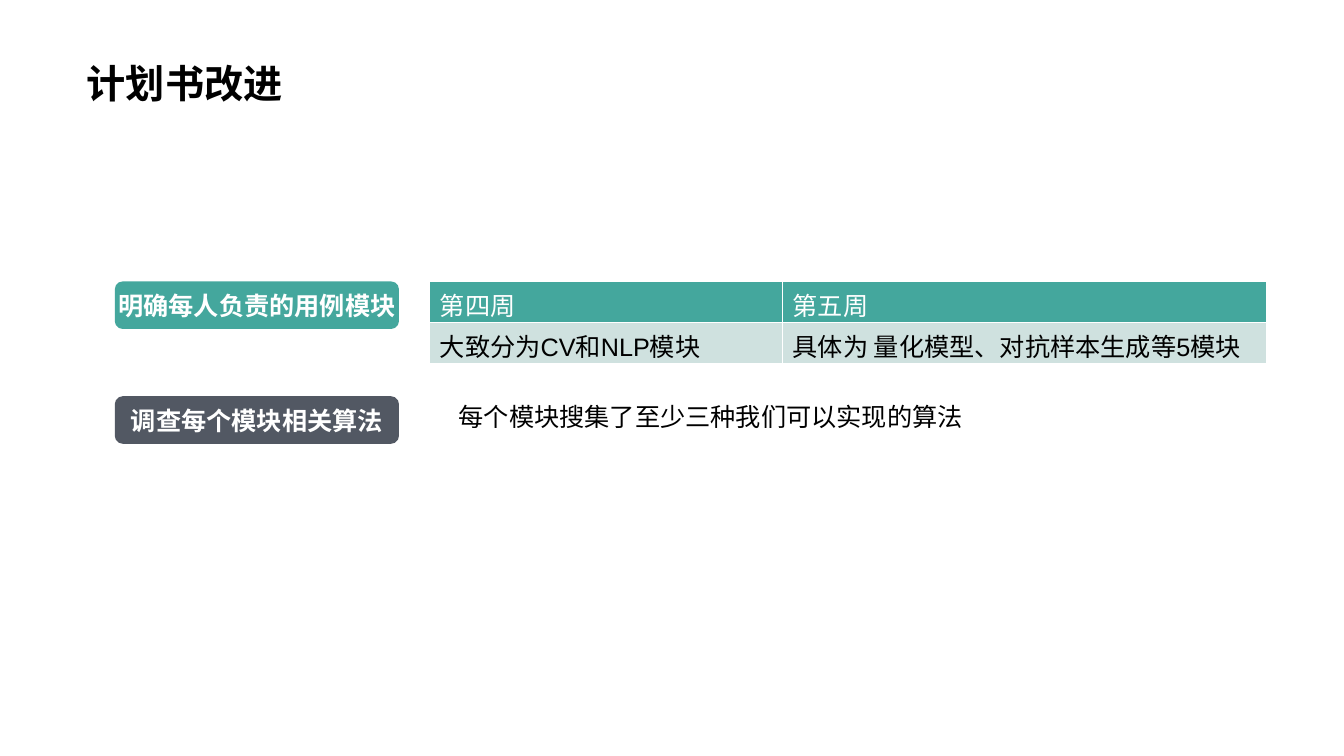
from dataclasses import dataclass
from lxml import etree
from pptx import Presentation
from pptx.dml.color import RGBColor
from pptx.enum.shapes import MSO_SHAPE as Shape
from pptx.enum.text import MSO_ANCHOR as Anchor, PP_ALIGN as Align
from pptx.oxml.ns import qn
from pptx.util import Pt


@dataclass(frozen=True)
class Theme:
    teal: str = "44A79D"
    slate: str = "525863"
    mint: str = "CFE1DF"
    white: str = "FFFFFF"
    black: str = "000000"
    latin: str = "Arial"
    chinese: str = "Noto Sans CJK SC"
    title_size: int = 28
    body_size: int = 18


theme = Theme()


def write(frame, words, color, size=theme.body_size, bold=False, latin=theme.latin):
    frame.text = words
    run = frame.paragraphs[0].runs[0]
    run.font.size = Pt(size)
    run.font.bold = bold
    run.font.color.rgb = RGBColor.from_string(color)
    run.font.name = latin
    etree.SubElement(run.font._element, qn("a:ea"), typeface=theme.chinese)


def add_border(cell, side):
    line = etree.SubElement(cell._tc.get_or_add_tcPr(), qn(f"a:{side}"), w=str(Pt(1)))
    fill = etree.SubElement(line, qn("a:solidFill"))
    etree.SubElement(fill, qn("a:srgbClr"), val=theme.white)


deck = Presentation()
deck.slide_width, deck.slide_height = Pt(960), Pt(540)
slide = deck.slides.add_slide(deck.slide_layouts[6])

heading = slide.shapes.add_textbox(Pt(55), Pt(0), Pt(850), Pt(80)).text_frame
heading.word_wrap = True
heading.vertical_anchor = Anchor.BOTTOM
write(heading, "计划书改进", theme.black, theme.title_size, bold=True)
heading.paragraphs[0].line_spacing = 0.9

tasks = [
    ("明确每人负责的用例模块", theme.teal, 201),
    ("调查每个模块相关算法", theme.slate, 283),
]
for task, color, top in tasks:
    badge = slide.shapes.add_shape(Shape.ROUNDED_RECTANGLE, Pt(82), Pt(top), Pt(203), Pt(34))
    badge.shadow.inherit = False
    badge.fill.solid()
    badge.fill.fore_color.rgb = RGBColor.from_string(color)
    badge.line.fill.background()
    badge.text_frame.word_wrap = False
    badge.text_frame.vertical_anchor = Anchor.MIDDLE
    write(badge.text_frame, task, theme.white, bold=True)
    badge.text_frame.paragraphs[0].alignment = Align.CENTER

progress = slide.shapes.add_textbox(Pt(320.5), Pt(283), Pt(428), Pt(29)).text_frame
progress.word_wrap = True
write(progress, "每个模块搜集了至少三种我们可以实现的算法", theme.black, latin=theme.chinese)

weeks = [
    ("第四周", "第五周"),
    ("大致分为CV和NLP模块", "具体为 量化模型、对抗样本生成等5模块"),
]
row_colors = [(theme.teal, theme.white), (theme.mint, theme.black)]
schedule = slide.shapes.add_table(2, 2, Pt(307), Pt(201), Pt(598), Pt(58.4)).table
schedule.columns[0].width, schedule.columns[1].width = Pt(252), Pt(346)
for r, (entries, (fill_color, text_color)) in enumerate(zip(weeks, row_colors)):
    schedule.rows[r].height = Pt(29.2)
    for c, entry in enumerate(entries):
        cell = schedule.cell(r, c)
        write(cell.text_frame, entry, text_color)
        for side in ("lnL", "lnR", "lnT", "lnB"):
            add_border(cell, side)
        cell.fill.solid()
        cell.fill.fore_color.rgb = RGBColor.from_string(fill_color)

deck.save("out.pptx")
